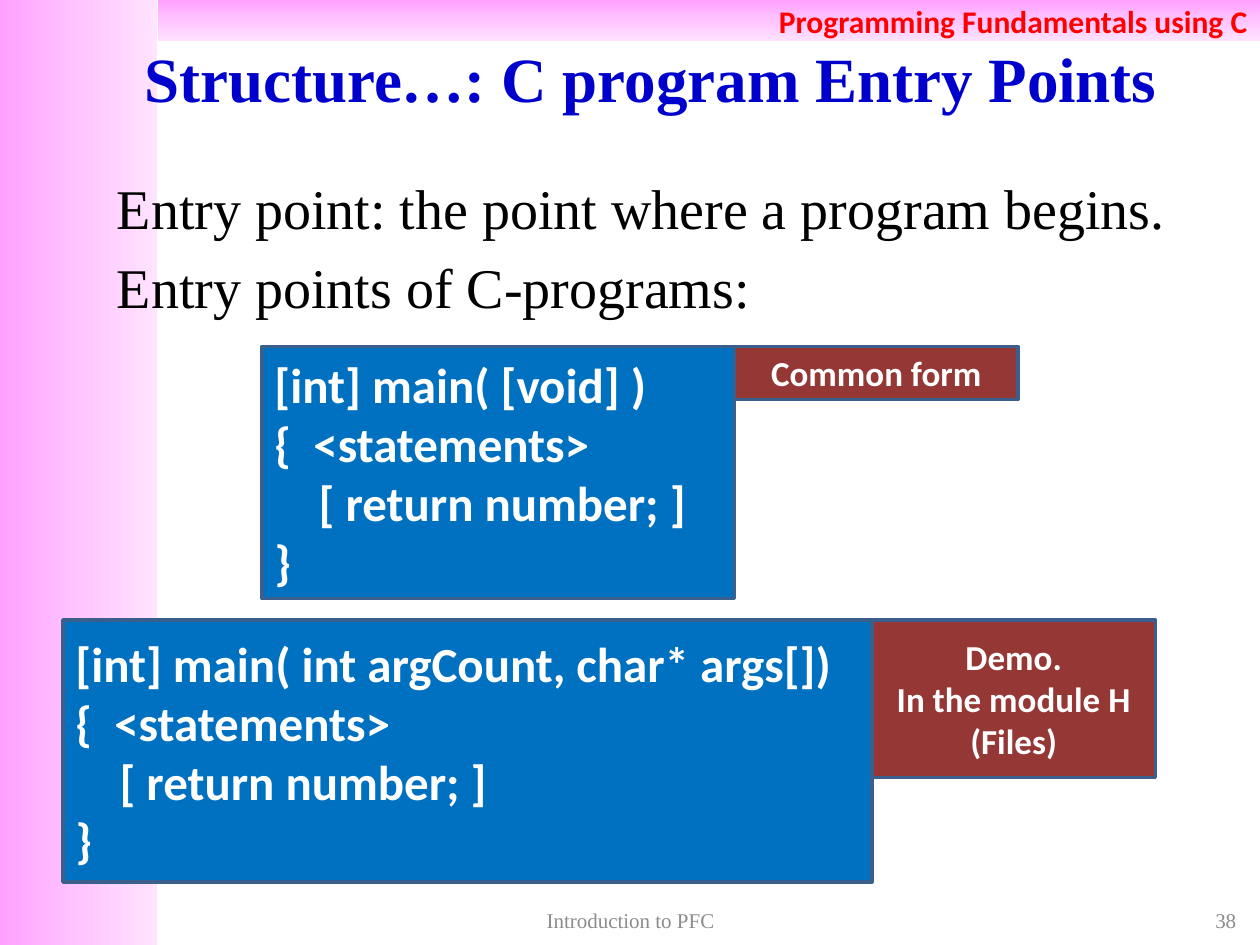
import copy

import pptx
import pptx.dml.color
import pptx.enum.shapes
import pptx.enum.text
import pptx.oxml.ns
import pptx.util

Inches = pptx.util.Inches
Pt = pptx.util.Pt
RGBColor = pptx.dml.color.RGBColor
Align = pptx.enum.text.PP_ALIGN
Anchor = pptx.enum.text.MSO_ANCHOR

PINKS = [RGBColor(0xFF, 0xA0, 0xFF), RGBColor(0xFF, 0xC5, 0xFF), RGBColor(0xFF, 0xE3, 0xFF)]
RED = RGBColor(0xFF, 0x00, 0x00)
TITLE_BLUE = RGBColor(0x00, 0x00, 0xCC)
BLACK = RGBColor(0x00, 0x00, 0x00)
GRAY = RGBColor(0x8C, 0x8C, 0x8C)
WHITE = RGBColor(0xFF, 0xFF, 0xFF)
CODE_BLUE = RGBColor(0x00, 0x70, 0xC0)
NOTE_RED = RGBColor(0x95, 0x37, 0x35)
BORDER = RGBColor(0x3A, 0x5F, 0x8C)
SERIF = "Times New Roman"
SANS = "Calibri"

deck = pptx.Presentation()
deck.slide_width = Inches(10)
deck.slide_height = Inches(7.5)
page = deck.slides.add_slide(deck.slide_layouts[6])


def write(box, text, font, size, color, bold, align, anchor=Anchor.MIDDLE):
    """Fill a box with lines of text in one style."""
    frame = box.text_frame
    frame.text = text
    frame.word_wrap = True
    frame.vertical_anchor = anchor
    for para in frame.paragraphs:
        para.alignment = align
        for span in para.runs:
            span.font.name = font
            span.font.size = Pt(size)
            span.font.bold = bold
            span.font.color.rgb = color


def add_rectangle(left, top, width, height):
    """Add a rectangle without a shadow."""
    box = page.shapes.add_shape(
        pptx.enum.shapes.MSO_SHAPE.RECTANGLE,
        Inches(left), Inches(top), Inches(width), Inches(height))
    box.shadow.inherit = False
    return box


# Pink bands; gradient angles run counter-clockwise
side_band = add_rectangle(0, 0, 1.25, 7.5)
top_band = add_rectangle(1.25, 0, 8.75, 0.33)
for band, angle in ((side_band, 0), (top_band, 270)):
    band.line.fill.background()
    band.fill.gradient()
    band.fill.gradient_angle = angle
    stop_list = band.element.spPr.find(".//" + pptx.oxml.ns.qn("a:gsLst"))
    stop_list.insert(1, copy.deepcopy(stop_list[0]))
    for index, stop in enumerate(band.fill.gradient_stops):
        stop.position = index / 2
        stop.color.rgb = PINKS[index]
write(top_band, "Programming Fundamentals using C", SANS, 18, RED, True, Align.RIGHT)

# Title, body and footer
body_text = "Entry point: the point where a program begins.\nEntry points of C-programs:"
texts = [
    (0.83, 0.3, 8.67, 0.62, "Structure…: C program Entry Points", 36, TITLE_BLUE, True,
     Align.CENTER, Anchor.MIDDLE),
    (0.83, 1.33, 8.67, 1.25, body_text, 32, BLACK, False, Align.LEFT, Anchor.TOP),
    (3.42, 7.17, 3.17, 0.27, "Introduction to PFC", 12, GRAY, False,
     Align.CENTER, Anchor.MIDDLE),
    (7.58, 7.17, 2.33, 0.27, "38", 12, GRAY, False, Align.RIGHT, Anchor.MIDDLE),
]
for left, top, width, height, text, size, color, bold, align, anchor in texts:
    box = page.shapes.add_textbox(Inches(left), Inches(top), Inches(width), Inches(height))
    write(box, text, SERIF, size, color, bold, align, anchor)
    if text == body_text:
        for para in box.text_frame.paragraphs:
            para.space_before = Pt(6.4)

# Each entry point: a code box with a note joined to its right edge
NOTE_WIDTH = 2.25
CODE_BODY = "\n{  <statements>\n[ return number; ]\n}"
entry_points = [
    (0.5, 4.92, 6.42, 2.08, "[int] main( int argCount, char* args[])",
     1.25, "Demo.\nIn the module H (Files)"),
    (2.08, 2.75, 3.75, 2, "[int] main( [void] )", 0.42, "Common form"),
]
for left, top, width, height, signature, note_height, note_text in entry_points:
    note = add_rectangle(left + width, top, NOTE_WIDTH, note_height)
    write(note, note_text, SANS, 20, WHITE, True, Align.CENTER)
    code = add_rectangle(left, top, width, height)
    write(code, signature + CODE_BODY, SANS, 28, WHITE, True, Align.LEFT)
    return_line = code.text_frame.paragraphs[2]
    return_line._p.get_or_add_pPr().set("marL", str(Inches(0.35)))
    for box, color in ((note, NOTE_RED), (code, CODE_BLUE)):
        box.fill.solid()
        box.fill.fore_color.rgb = color
        box.line.color.rgb = BORDER
        box.line.width = Pt(2)

deck.save("out.pptx")
